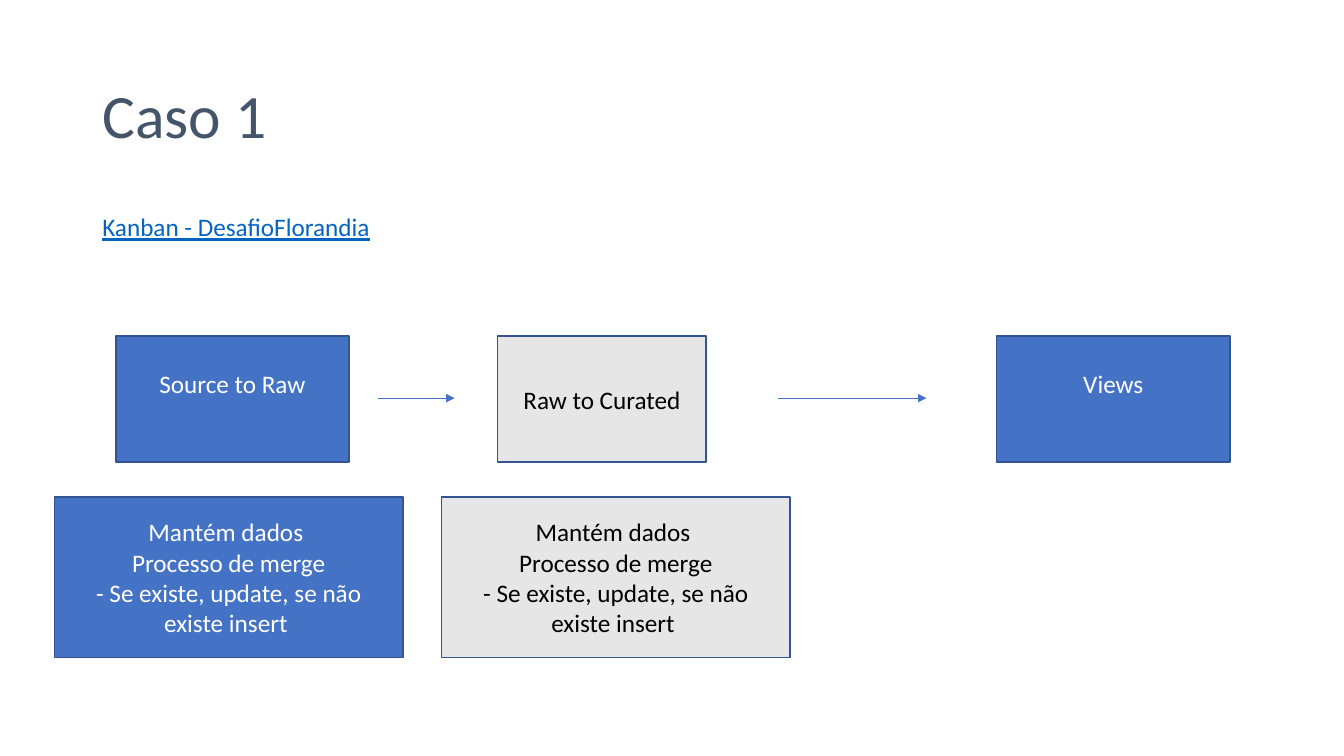
"""Build the "Caso 1" slide: a three-step data flow with notes on the merge process."""
from dataclasses import dataclass

from lxml.etree import SubElement
from pptx import Presentation
from pptx.dml.color import RGBColor as RGB
from pptx.enum.shapes import MSO_CONNECTOR as Connector, MSO_SHAPE as Shape
from pptx.enum.text import MSO_ANCHOR as Anchor, MSO_AUTO_SIZE as AutoSize, PP_ALIGN as Align
from pptx.oxml.ns import qn
from pptx.util import Pt


@dataclass(frozen=True)
class Theme:
    font: str = "Calibri"
    title_size: float = 44
    body_size: float = 18
    title: RGB = RGB(0x44, 0x54, 0x6A)
    link: RGB = RGB(0x05, 0x63, 0xC1)
    blue: RGB = RGB(0x44, 0x72, 0xC4)
    gray: RGB = RGB(0xE7, 0xE6, 0xE6)
    border: RGB = RGB(0x32, 0x54, 0x91)
    white: RGB = RGB(0xFF, 0xFF, 0xFF)
    black: RGB = RGB(0, 0, 0)


class SlideBuilder:
    def __init__(self, slide, theme):
        self.slide = slide
        self.theme = theme

    def add_lines(self, frame, lines, size, color, align=Align.LEFT, underline=False):
        frame.word_wrap = True
        for index, line in enumerate(lines):
            paragraph = frame.add_paragraph() if index else frame.paragraphs[0]
            paragraph.alignment = align
            run = paragraph.add_run()
            run.text = line
            run.font.name = self.theme.font
            run.font.size = Pt(size)
            run.font.color.rgb = color
            if underline:
                run.font.underline = True

    def title(self, text, left, top, width, height):
        heading = self.slide.shapes.title
        heading.left, heading.top = Pt(left), Pt(top)
        heading.width, heading.height = Pt(width), Pt(height)
        frame = heading.text_frame
        frame.vertical_anchor = Anchor.MIDDLE
        frame.auto_size = AutoSize.NONE
        self.add_lines(frame, [text], self.theme.title_size, self.theme.title)
        frame.paragraphs[0].line_spacing = 0.9

    def link_text(self, text, left, top, width, height):
        label = self.slide.shapes.add_textbox(Pt(left), Pt(top), Pt(width), Pt(height))
        self.add_lines(label.text_frame, [text], self.theme.body_size, self.theme.link, underline=True)

    def box(self, lines, left, top, width, height, fill, color, lift=0):
        panel = self.slide.shapes.add_shape(
            Shape.RECTANGLE, Pt(left), Pt(top), Pt(width), Pt(height))
        panel.shadow.inherit = False
        panel.fill.solid()
        panel.fill.fore_color.rgb = fill
        panel.line.color.rgb = self.theme.border
        panel.line.width = Pt(1)
        frame = panel.text_frame
        frame.vertical_anchor = Anchor.MIDDLE
        frame.margin_bottom = Pt(3.6 + lift)
        self.add_lines(frame, lines, self.theme.body_size, color, Align.CENTER)

    def arrow(self, start, end, y):
        flow = self.slide.shapes.add_connector(
            Connector.STRAIGHT, Pt(start), Pt(y), Pt(end), Pt(y))
        flow.line.color.rgb = self.theme.blue
        flow.line.width = Pt(0.5)
        properties = flow._element.spPr
        SubElement(properties.find(qn("a:ln")), qn("a:tailEnd"), type="triangle")
        SubElement(properties, qn("a:effectLst"))


theme = Theme()
deck = Presentation()
deck.slide_width, deck.slide_height = Pt(960), Pt(540)
page = SlideBuilder(deck.slides.add_slide(deck.slide_layouts[5]), theme)

page.title("Caso 1", 66, 32.4, 828, 104.4)
page.link_text("Kanban - DesafioFlorandia", 66, 147.6, 480, 51)

blue_style = (theme.blue, theme.white)
gray_style = (theme.gray, theme.black)
STEP_TOP, STEP_HEIGHT = 240, 90
for step, left, width, style, lift in (
    ("Source to Raw", 82.8, 166.5, blue_style, 21.6),
    ("Raw to Curated", 355.5, 149, gray_style, 0),
    ("Views", 712, 166.5, blue_style, 21.6),
):
    page.box([step], left, STEP_TOP, width, STEP_HEIGHT, *style, lift=lift)

merge_notes = ["Mantém dados ", "Processo de merge", "- Se existe, update, se não existe insert "]
for left, style in ((38.9, blue_style), (315.4, gray_style)):
    page.box(merge_notes, left, 355, 249, 114.5, *style)

for start, end in ((270, 324.7), (555.8, 661.7)):
    page.arrow(start, end, STEP_TOP + STEP_HEIGHT / 2 - 0.6)

deck.save("out.pptx")
